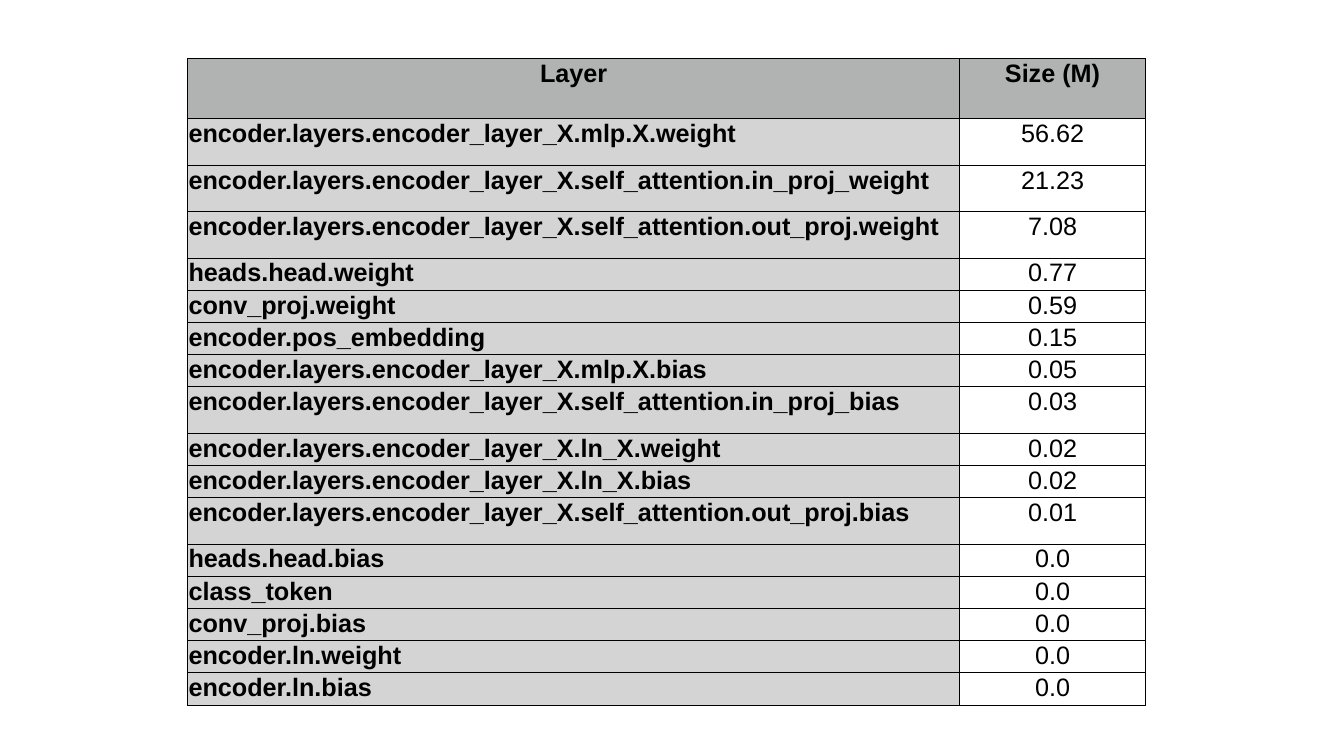
from lxml import etree
from pptx import Presentation
from pptx.dml.color import RGBColor
from pptx.enum.text import PP_ALIGN
from pptx.oxml.ns import qn
from pptx.util import Inches, Pt

LEFT, CENTER = PP_ALIGN.LEFT, PP_ALIGN.CENTER
BLANK_LAYOUT = 6
COLORS = {"ink": "000000", "header": "B0B3B2", "layer": "D4D4D4"}

# Lengths in grid steps of 0.02 inch
STEP = 0.02
TABLE_LEFT, TABLE_TOP = 93, 29
COLUMN_WIDTHS = [383, 92]
HEADER_ROW, TALL_ROW, SHORT_ROW = 30, 23, 16

HEADINGS = ["Layer", "Size (M)"]
LAYER_SIZES = [
    ("encoder.layers.encoder_layer_X.mlp.X.weight", "56.62", TALL_ROW),
    ("encoder.layers.encoder_layer_X.self_attention.in_proj_weight", "21.23", TALL_ROW),
    ("encoder.layers.encoder_layer_X.self_attention.out_proj.weight", "7.08", TALL_ROW),
    ("heads.head.weight", "0.77", SHORT_ROW),
    ("conv_proj.weight", "0.59", SHORT_ROW),
    ("encoder.pos_embedding", "0.15", SHORT_ROW),
    ("encoder.layers.encoder_layer_X.mlp.X.bias", "0.05", SHORT_ROW),
    ("encoder.layers.encoder_layer_X.self_attention.in_proj_bias", "0.03", TALL_ROW),
    ("encoder.layers.encoder_layer_X.ln_X.weight", "0.02", SHORT_ROW),
    ("encoder.layers.encoder_layer_X.ln_X.bias", "0.02", SHORT_ROW),
    ("encoder.layers.encoder_layer_X.self_attention.out_proj.bias", "0.01", TALL_ROW),
    ("heads.head.bias", "0.0", SHORT_ROW),
    ("class_token", "0.0", SHORT_ROW),
    ("conv_proj.bias", "0.0", SHORT_ROW),
    ("encoder.ln.weight", "0.0", SHORT_ROW),
    ("encoder.ln.bias", "0.0", SHORT_ROW),
]

# Look of each kind of cell
HEADING = {"fill": "header", "bold": True, "align": CENTER}
LAYER_NAME = {"fill": "layer", "bold": True, "align": LEFT}
LAYER_SIZE = {"fill": None, "bold": False, "align": CENTER}


def steps(count):
    return Inches(count * STEP)


class SlideBuilder:
    font = {"name": "Arial", "size": Pt(18)}
    margins = {f"margin_{side}": Inches(0.01) for side in ("left", "right", "top", "bottom")}
    border_width = Pt(0.75)

    def __init__(self, deck):
        self.slide = deck.slides.add_slide(deck.slide_layouts[BLANK_LAYOUT])

    def table(self, left, top, widths, heights):
        frame = self.slide.shapes.add_table(
            len(heights), len(widths), steps(left), steps(top),
            steps(sum(widths)), steps(sum(heights)))
        grid = frame.table
        grid.first_row = grid.horz_banding = False
        for column, width in zip(grid.columns, widths):
            column.width = steps(width)
        for row, height in zip(grid.rows, heights):
            row.height = steps(height)
        return grid

    def cell(self, cell, text, look):
        for attribute, value in self.margins.items():
            setattr(cell, attribute, value)
        paragraph = cell.text_frame.paragraphs[0]
        paragraph.alignment = look["align"]
        run = paragraph.add_run()
        run.text = text
        for attribute, value in {**self.font, "bold": look["bold"]}.items():
            setattr(run.font, attribute, value)
        run.font.color.rgb = RGBColor.from_string(COLORS["ink"])
        self.borders(cell)
        if look["fill"]:
            cell.fill.solid()
            cell.fill.fore_color.rgb = RGBColor.from_string(COLORS[look["fill"]])
        else:
            cell.fill.background()

    def borders(self, cell):
        properties = cell._tc.get_or_add_tcPr()
        for edge in ("a:lnL", "a:lnR", "a:lnT", "a:lnB"):
            line = etree.SubElement(properties, qn(edge), w=str(self.border_width))
            fill = etree.SubElement(line, qn("a:solidFill"))
            etree.SubElement(fill, qn("a:srgbClr"), val=COLORS["ink"])


def main():
    deck = Presentation()
    deck.slide_width, deck.slide_height = Inches(13.33), Inches(7.5)
    builder = SlideBuilder(deck)

    # Table of layer sizes
    heights = [HEADER_ROW] + [height for _, _, height in LAYER_SIZES]
    sizes_table = builder.table(TABLE_LEFT, TABLE_TOP, COLUMN_WIDTHS, heights)

    # Header row
    for column, heading in enumerate(HEADINGS):
        builder.cell(sizes_table.cell(0, column), heading, HEADING)

    # One row for each layer
    for row, (layer, size, _) in enumerate(LAYER_SIZES, start=1):
        builder.cell(sizes_table.cell(row, 0), layer, LAYER_NAME)
        builder.cell(sizes_table.cell(row, 1), size, LAYER_SIZE)

    deck.save("out.pptx")


if __name__ == "__main__":
    main()
